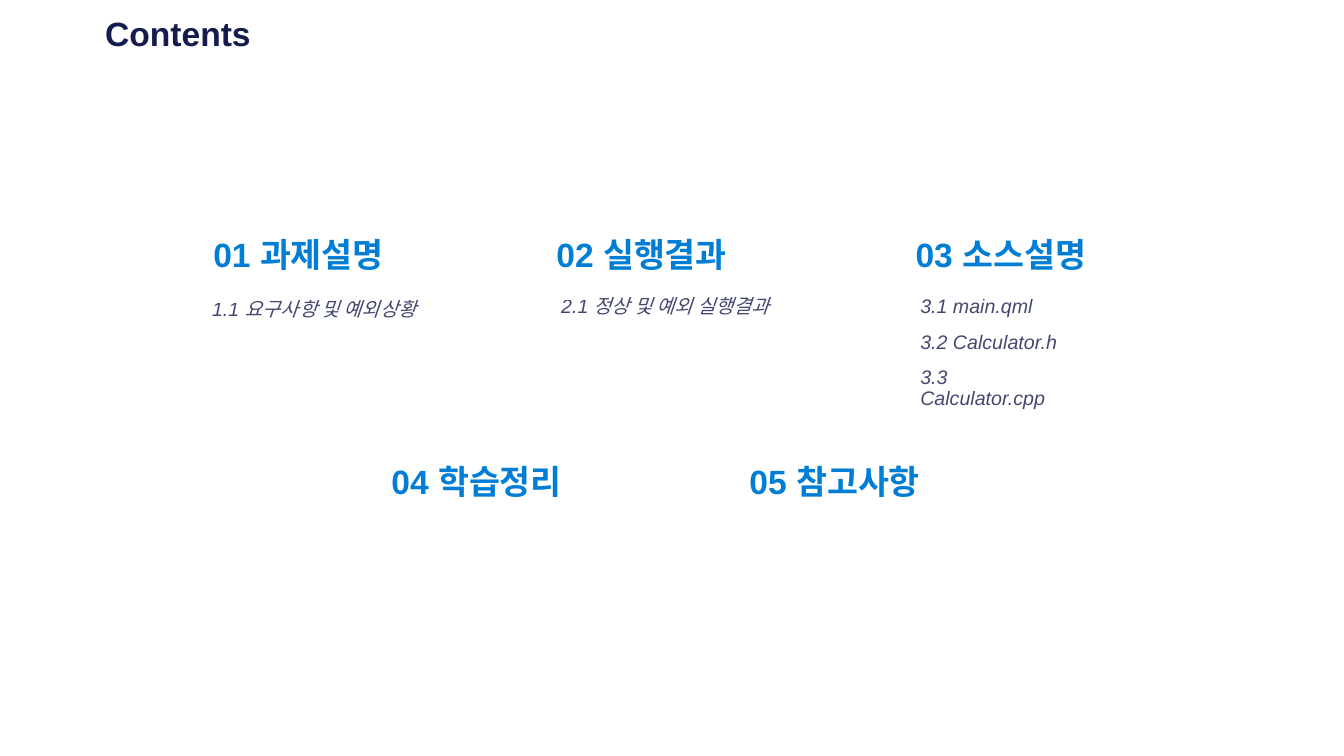
from lxml import etree
from pptx import Presentation
from pptx import util as u
from pptx.dml.color import RGBColor
from pptx.enum import shapes, text
from pptx.oxml import ns

TITLE = "Contents"
# label, left, top
SECTIONS = [
    ("01 과제설명", 204, 229),
    ("02 실행결과", 547, 229),
    ("03 소스설명", 906, 229),
    ("04 학습정리", 382, 456),
    ("05 참고사항", 740, 456),
]
# box, wraps, entries
TOPICS = [
    ((204, 296, 241, 29), True, ["1.1 요구사항 및 예외상황"]),
    ((553, 293, 243, 29), False, ["2.1 정상 및 예외 실행결과"]),
    ((912, 293, 173, 100), False,
     ["3.1 main.qml", "3.2 Calculator.h", "3.3 Calculator.cpp"]),
]
TITLE_BOX = (95, 8, 1217, 51)
HEADING_SIZE = (200, 50)
INSET_X, INSET_Y = 8, 4
COLORS = {"navy": "141B4D", "blue": "007ED6"}
FONT = "Arial"


def px(n):
    return u.Emu(round(n * 914400 / 100.8))


def place(sp, box):
    sp.left, sp.top, sp.width, sp.height = map(px, box)


def style(p, size, color, bold=False, italic=False):
    p.alignment = text.PP_ALIGN.LEFT
    for r in p.runs:
        f = r.font
        f.name, f.size, f.bold, f.italic = FONT, u.Pt(size), bold, italic
        f.color.rgb = RGBColor.from_string(COLORS[color])


def setup_frame(tf, wrap, anchor):
    tf.margin_left = tf.margin_right = px(INSET_X)
    tf.margin_top = tf.margin_bottom = px(INSET_Y)
    tf.word_wrap = wrap
    tf.vertical_anchor = anchor
    tf.auto_size = text.MSO_AUTO_SIZE.SHAPE_TO_FIT_TEXT


def clear_bullet(p):
    pPr = p._p.get_or_add_pPr()
    pPr.set("marL", "0")
    pPr.set("indent", "0")
    etree.SubElement(pPr, ns.qn("a:buNone"))


def set_alpha(r, percent):
    color = r.font._element.find(".//" + ns.qn("a:srgbClr"))
    etree.SubElement(color, ns.qn("a:alpha")).set("val", str(percent * 1000))


def add_title(slide):
    sp = slide.shapes.title
    place(sp, TITLE_BOX)
    tf = sp.text_frame
    tf.text = TITLE
    tf.vertical_anchor = text.MSO_ANCHOR.BOTTOM
    tf.auto_size = text.MSO_AUTO_SIZE.NONE
    p = tf.paragraphs[0]
    p.line_spacing = 0.9
    style(p, 24, "navy", bold=True)


def fill_topics(sp, box, wrap, entries):
    place(sp, box)
    tf = sp.text_frame
    setup_frame(tf, wrap, text.MSO_ANCHOR.TOP)
    tf.text = "\n".join(entries)
    for p in tf.paragraphs:
        p.line_spacing, p.space_before = 0.9, u.Pt(10)
        clear_bullet(p)
        style(p, 14, "navy", italic=True)
        for r in p.runs:
            set_alpha(r, 80)


def add_heading(slide, label, left, top):
    sp = slide.shapes.add_shape(shapes.MSO_SHAPE.ROUNDED_RECTANGLE,
                                px(left), px(top), *map(px, HEADING_SIZE))
    sp.adjustments[0] = 0.09
    sp.shadow.inherit = False
    sp.fill.background()
    sp.line.fill.background()
    tf = sp.text_frame
    setup_frame(tf, False, text.MSO_ANCHOR.MIDDLE)
    tf.text = label
    style(tf.paragraphs[0], 24, "blue", bold=True)


def main():
    prs = Presentation()
    prs.slide_width, prs.slide_height = u.Inches(13.33), u.Inches(7.5)
    slide = prs.slides.add_slide(prs.slide_layouts.get_by_name("Comparison"))
    add_title(slide)
    bodies = list(slide.placeholders)[1:]
    for sp, topic in zip(bodies, TOPICS):
        fill_topics(sp, *topic)
    for sp in bodies[len(TOPICS):]:
        sp._element.getparent().remove(sp._element)
    for section in SECTIONS:
        add_heading(slide, *section)
    prs.save("out.pptx")


if __name__ == "__main__":
    main()
